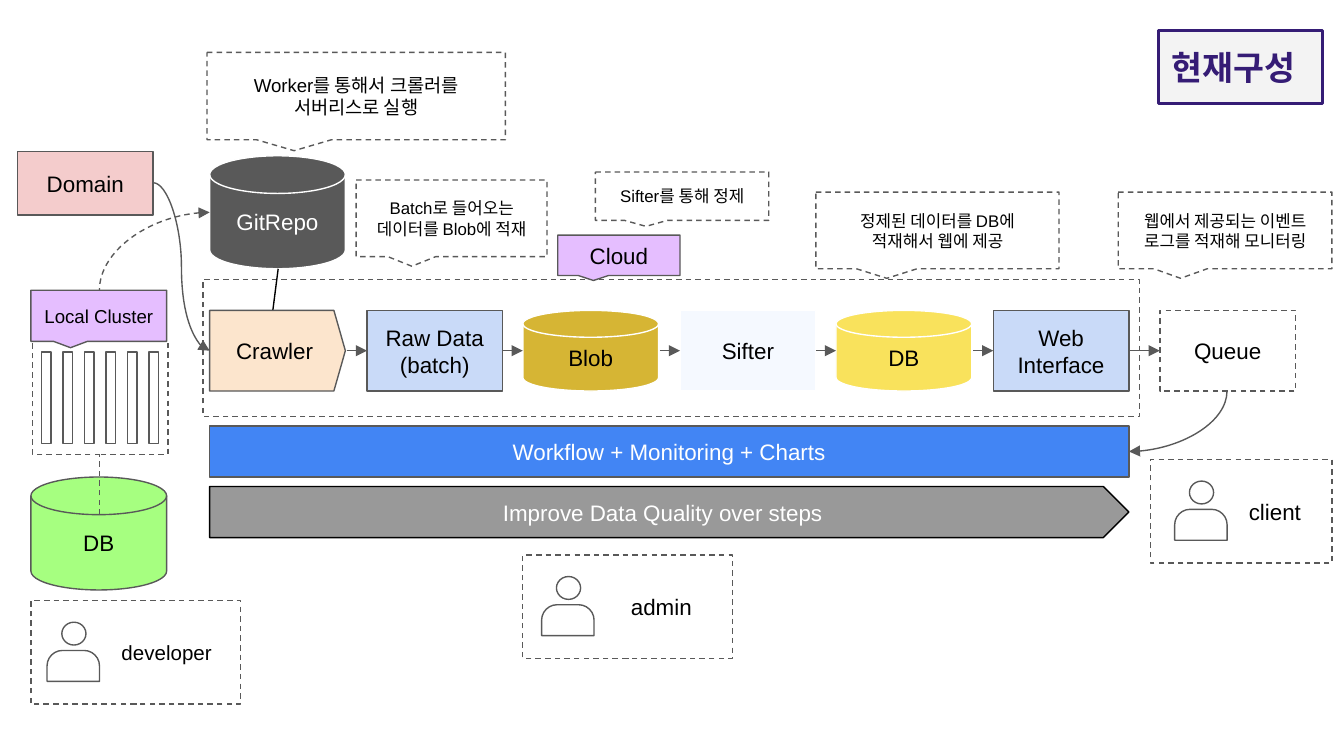
from lxml.etree import SubElement
from pptx import Presentation
from pptx.dml.color import RGBColor as Rgb
from pptx.enum.dml import MSO_LINE as Dash
from pptx.enum.shapes import MSO_CONNECTOR as Link, MSO_SHAPE as Kind
from pptx.enum.text import MSO_ANCHOR as Anchor, PP_ALIGN as Align
from pptx.oxml.ns import qn
from pptx.util import Pt

PX = 9144
HUE = {
    "white": "FFFFFF", "black": "000000", "gray": "595959", "steel": "999999",
    "pink": "F4CCCC", "blue": "4285F4", "sky": "C9DAF8", "ice": "F5F9FF",
    "green": "A6FF80", "lilac": "E5BEFF", "gold": "D6B534", "lemon": "F9E25C",
    "peach": "FCE5CD", "pale": "F3F3F3", "plum": "351C75",
}


def hue(name):
    """Return the named colour."""
    return Rgb.from_string(HUE[name])


def write(shape, text, size=12, color="black", bold=False, align=Align.CENTER, left=10):
    """Put formatted text in a shape."""
    frame = shape.text_frame
    frame.word_wrap = True
    frame.vertical_anchor = Anchor.MIDDLE
    frame.margin_left = left * PX
    frame.margin_right = frame.margin_top = frame.margin_bottom = 10 * PX
    frame.text = text
    for para in frame.paragraphs:
        para.alignment = align
        for run in para.runs:
            font = run.font
            font.name, font.size, font.bold = "Arial", Pt(size), bold
            font.color.rgb = hue(color)


def draw(slide, kind, box, fill="white", line="gray", width=0.75, dash=False, adj=()):
    """Add a preset shape in a box of px."""
    shape = slide.shapes.add_shape(kind, *(n * PX for n in box))
    shape.shadow.inherit = False
    if fill:
        shape.fill.solid()
        shape.fill.fore_color.rgb = hue(fill)
    else:
        shape.fill.background()
    shape.line.color.rgb = hue(line)
    shape.line.width = Pt(width)
    if dash:
        shape.line.dash_style = Dash.DASH
    for i, value in enumerate(adj):
        shape.adjustments[i] = value
    return shape


def join(slide, start, end, kind=Link.STRAIGHT, color="gray", dash=False, arrow=None, arc=False):
    """Add a line, with an arrow at headEnd or tailEnd."""
    line = slide.shapes.add_connector(kind, *(n * PX for n in (*start, *end)))
    line.line.color.rgb = hue(color)
    line.line.width = Pt(0.75)
    if dash:
        line.line.dash_style = Dash.DASH
    props = line._element.spPr
    if arc:
        props.find(qn("a:prstGeom")).set("prst", "curvedConnector2")
    if arrow:
        SubElement(line.line._get_or_add_ln(), qn("a:" + arrow)).set("type", "triangle")
    SubElement(props, qn("a:effectLst"))


def note(slide, box, text, size=9, fill="white", dash=True):
    """Draw a callout that points down."""
    shape = draw(slide, Kind.RECTANGULAR_CALLOUT, box, fill, dash=dash, adj=(-0.208, 0.625))
    write(shape, text, size)


def user(slide, box, role, inset, size=12):
    """Draw a dashed card with a person and a role."""
    x, y = box[0] + inset, box[1]
    write(draw(slide, Kind.RECTANGLE, box, None, dash=True), role, size, left=12 + 4 * size)
    draw(slide, Kind.FLOWCHART_CONNECTOR, (x + 11, y + 16, 18, 17))
    draw(slide, Kind.ROUND_2_SAME_RECTANGLE, (x, y + 37, 39, 23), adj=(0.5, 0))


def cluster(slide, box):
    """Draw the local cluster above its database."""
    x, y, w, h = box
    disk = draw(slide, Kind.FLOWCHART_MAGNETIC_DISK, (x, y + h - 84, w, 84), "green")
    write(disk, "DB")
    draw(slide, Kind.RECTANGLE, (x + 1, y + 38, w, 84), dash=True)
    for i in range(6):
        draw(slide, Kind.RECTANGLE, (x + 8 + 16 * i, y + 46, 7, 68))
    note(slide, (x, y, w, 38), "Local Cluster", 10, "lilac", False)
    join(slide, (x + 51, y + 167), (x + 51, y + 122), Link.CURVE, dash=True)


def flow(slide, box):
    """Draw the pipeline steps inside their dashed frame."""
    x, y, w, h = box
    draw(slide, Kind.RECTANGLE, box, None, dash=True)
    join(slide, (x + 52, y + 23), (x + 56, y - 8), color="black")
    disk = Kind.FLOWCHART_MAGNETIC_DISK
    steps = (
        ("Crawler", Kind.PENTAGON, "peach", "gray", (0.142,)),
        ("Raw Data\n(batch)", Kind.RECTANGLE, "sky", "gray", ()),
        ("Blob", disk, "gold", "white", ()),
        ("Sifter", Kind.RECTANGLE, "ice", "white", ()),
        ("DB", disk, "lemon", "white", ()),
        ("Web Interface", Kind.RECTANGLE, "sky", "gray", ()),
    )
    mid = y + 53
    for i, (name, kind, fill, line, adj) in enumerate(steps):
        left = round(x + 5 + 116.6 * i)
        write(draw(slide, kind, (left, y + 23, 101, 60), fill, line, adj=adj), name)
        if i:
            join(slide, (left - 15, mid), (left, mid), Link.CURVE, arrow="tailEnd")
    note(slide, (x + 264, y - 33, 91, 30), "Cloud", 12, "lilac", False)


def bars(slide, box):
    """Draw the two bars below the pipeline."""
    x, y, w, h = box
    tools = draw(slide, Kind.RECTANGLE, (x, y, w, 38), "blue")
    write(tools, "Workflow + Monitoring + Charts", color="white")
    goal = draw(slide, Kind.PENTAGON, (x, y + h - 38, w, 38), "steel", "black", adj=(0.5,))
    write(goal, "Improve Data Quality over steps", color="white")


def source(slide, box):
    """Draw the domain and the code store."""
    x, y, w, h = box
    write(draw(slide, Kind.RECTANGLE, (x, y, 101, 47), "pink"), "Domain")
    disk = Kind.FLOWCHART_MAGNETIC_DISK
    store = draw(slide, disk, (x + w - 101, y + h - 84, 101, 84), "gray", "white")
    write(store, "GitRepo", color="white")


def sink(slide, box):
    """Draw the event queue and its links."""
    x, y, w, h = box
    write(draw(slide, Kind.RECTANGLE, box, dash=True), "Queue")
    join(slide, (x - 23, y + 30), (x, y + 30), Link.CURVE, arrow="tailEnd")
    join(slide, (x - 23, y + 105), (x + 50, y + h), Link.CURVE, arrow="headEnd", arc=True)


def title(slide, box):
    """Draw the title plate."""
    plate = draw(slide, Kind.RECTANGLE, box, "pale", "plum", 1.5)
    write(plate, "현재구성", 18, "plum", True, Align.LEFT)


def main():
    """Build the slide and save it."""
    deck = Presentation()
    deck.slide_width = 1000 * PX
    deck.slide_height = deck.slide_width * 9 // 16
    slide = deck.slides.add_slide(deck.slide_layouts[6])
    note(slide, (154, 39, 222, 65), "Worker를 통해서 크롤러를 서버리스로 실행", 10)
    note(slide, (265, 134, 142, 57), "Batch로 들어오는 데이터를 Blob에 적재")
    note(slide, (443, 128, 129, 36), "Sifter를 통해 정제")
    note(slide, (607, 143, 181, 57), "정제된 데이터를 DB에 적재해서 웹에 제공")
    note(slide, (832, 143, 159, 57), "웹에서 제공되는 이벤트 로그를 적재해 모니터링")
    source(slide, (13, 113, 244, 87))
    cluster(slide, (23, 216, 101, 223))
    flow(slide, (151, 208, 697, 102))
    bars(slide, (156, 317, 684, 83))
    sink(slide, (863, 231, 101, 60))
    join(slide, (114, 136), (156, 261), Link.CURVE, arrow="tailEnd")
    join(slide, (156, 158), (74, 216), Link.CURVE, dash=True, arrow="headEnd", arc=True)
    user(slide, (389, 413, 156, 77), "admin", 14)
    user(slide, (856, 342, 135, 77), "client", 18)
    user(slide, (23, 447, 156, 77), "developer", 12, 11)
    title(slide, (862, 23, 122, 54))
    deck.save("out.pptx")


if __name__ == "__main__":
    main()
